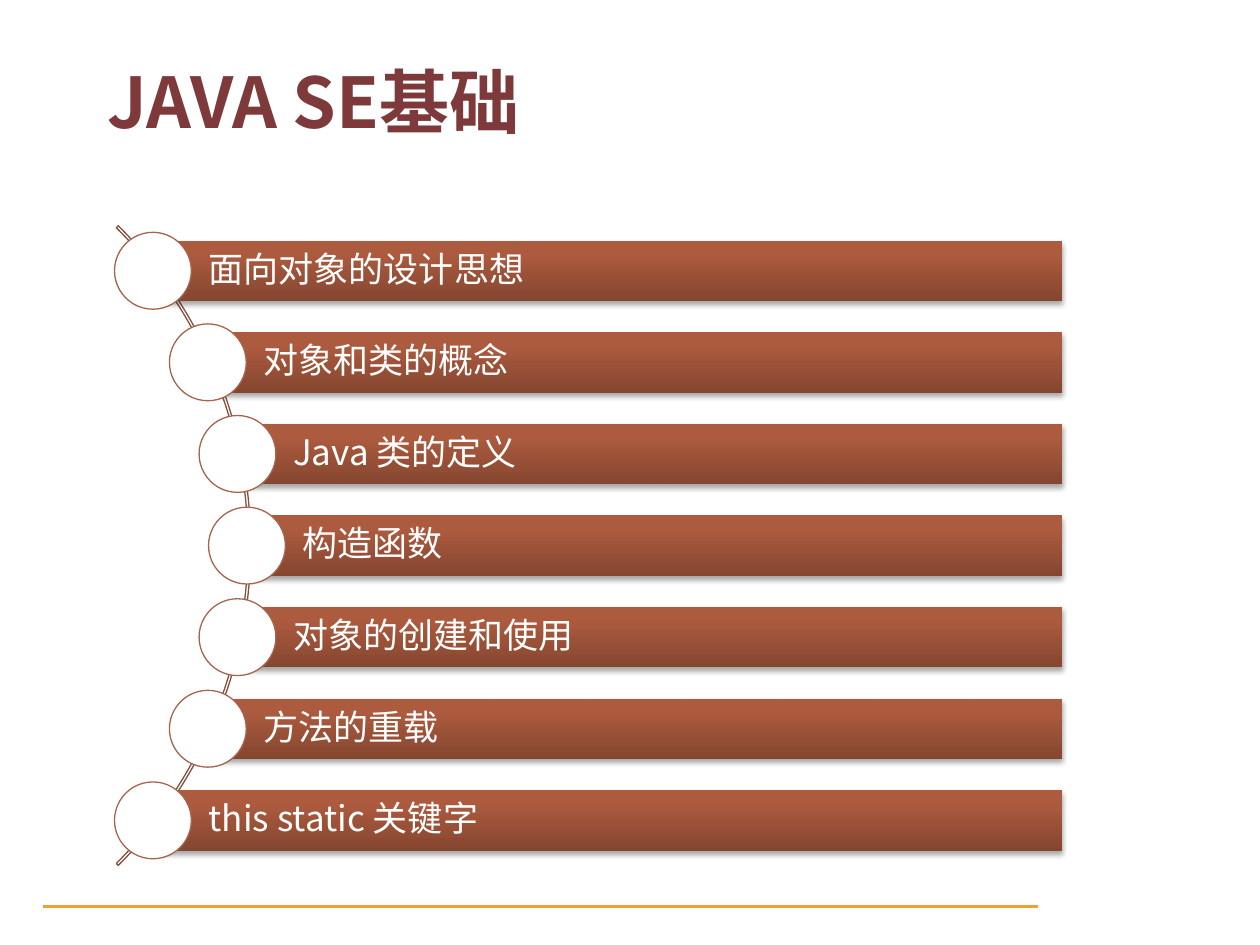
from math import sqrt

from lxml.etree import SubElement
from pptx import Presentation
from pptx.dml.color import RGBColor
from pptx.enum.shapes import MSO_SHAPE as Preset
from pptx.enum.text import MSO_ANCHOR as Anchor, PP_ALIGN as Align
from pptx.oxml import parse_xml
from pptx.oxml.ns import nsdecls, qn
from pptx.util import Inches, Pt

TITLE = "JAVA SE基础"
TOPICS = [
    " 面向对象的设计思想",
    " 对象和类的概念",
    " Java 类的定义",
    " 构造函数",
    " 对象的创建和使用",
    " 方法的重载",
    " this static 关键字",
]

THEME = {
    "font": "Noto Sans CJK SC",
    "title": {"size": Pt(40), "bold": True, "color": "7E3A3A"},
    "topic": {"size": Pt(20), "bold": False, "color": "FFFFFF"},
    "bar": [(0, "854630"), (80, "AD5B3F"), (100, "AF5A3D")],
    "shadow": {"blurRad": Pt(3.1), "dist": Pt(1.8), "dir": 90 * 60000},
    "paper": "FFFFFF",
    "ring": "A5644E",
    "arc": "84503E",
    "rule": "F0A22E",
}

WIDTH, HEIGHT = 10, 7.5
CENTRE_X, CENTRE_Y = -1.6, 4.33
ARC_RADIUS, TRACK_RADIUS = 3.59, 3.56
PITCH, BAR_HEIGHT, BAR_RIGHT, DOT = 0.727, 0.48, 8.43, 0.61

TITLE_FRAME = {"vertical_anchor": Anchor.MIDDLE, "word_wrap": True}
TOPIC_FRAME = TITLE_FRAME | {
    "margin_left": Inches(0.38),
    "margin_right": Inches(0.06),
    "margin_top": Inches(0.06),
    "margin_bottom": Inches(0.06),
}


def apply(target, values):
    """Set every attribute named in values on target."""
    for name, value in values.items():
        setattr(target, name, value)


def write(shape, text, style, frame_format, paragraph_format):
    """Put one formatted line of text into a shape."""
    frame = shape.text_frame
    apply(frame, frame_format)
    line = frame.paragraphs[0]
    apply(line, paragraph_format)
    run = line.add_run()
    run.text = text
    apply(run.font, {"name": THEME["font"], "size": style["size"], "bold": style["bold"]})
    run.font.color.rgb = RGBColor.from_string(style["color"])
    SubElement(run.font._element, qn("a:ea"), typeface=THEME["font"])


def draw(slide, preset, box, fill=None, line=None, weight=0.75):
    """Add a flat preset shape; no colour means no fill or no outline."""
    shape = slide.shapes.add_shape(preset, *map(Inches, box))
    shape.shadow.inherit = False
    if fill:
        shape.fill.solid()
        shape.fill.fore_color.rgb = RGBColor.from_string(fill)
    else:
        shape.fill.background()
    if line:
        shape.line.color.rgb = RGBColor.from_string(line)
        shape.line.width = Pt(weight)
    else:
        shape.line.fill.background()
    return shape


def shade(bar):
    """Give a bar its upward gradient and soft drop shadow."""
    bar.fill.gradient()
    bar.fill.gradient_angle = 90
    stops = bar._element.spPr.find(".//" + qn("a:gsLst"))
    for old in list(stops):
        stops.remove(old)
    for share, color in THEME["bar"]:
        stop = SubElement(stops, qn("a:gs"), pos=str(share * 1000))
        SubElement(stop, qn("a:srgbClr"), val=color)
    settings = " ".join(f'{key}="{int(value)}"' for key, value in THEME["shadow"].items())
    bar._element.spPr.find(qn("a:effectLst")).append(parse_xml(
        f'<a:outerShdw {nsdecls("a")} {settings} rotWithShape="0">'
        '<a:srgbClr val="000000"><a:alpha val="35000"/></a:srgbClr></a:outerShdw>'))


def add_topic(slide, text, row):
    """Add one bar and its dot, centred on the curved track."""
    y = CENTRE_Y + row * PITCH
    x = CENTRE_X + sqrt(TRACK_RADIUS ** 2 - (row * PITCH) ** 2)
    bar = draw(slide, Preset.RECTANGLE,
               (x, y - BAR_HEIGHT / 2, BAR_RIGHT - x, BAR_HEIGHT), THEME["paper"])
    shade(bar)
    write(bar, text, THEME["topic"], TOPIC_FRAME,
          {"alignment": Align.LEFT, "line_spacing": 0.9})
    draw(slide, Preset.OVAL, (x - DOT / 2, y - DOT / 2, DOT, DOT),
         THEME["paper"], THEME["ring"])


def build():
    """Build and save the slide."""
    deck = Presentation()
    apply(deck, {"slide_width": Inches(WIDTH), "slide_height": Inches(HEIGHT)})
    slide = deck.slides.add_slide(deck.slide_layouts[5])

    draw(slide, Preset.RECTANGLE, (0.33, 7.17, 7.92, 0.05),
         THEME["rule"], THEME["paper"], 2)
    arc = draw(slide, Preset.BLOCK_ARC,
               (CENTRE_X - ARC_RADIUS, CENTRE_Y - ARC_RADIUS,
                2 * ARC_RADIUS, 2 * ARC_RADIUS), line=THEME["arc"])
    for index, value in enumerate((189, 27, 0.003)):
        arc.adjustments[index] = value

    for index, text in enumerate(TOPICS):
        add_topic(slide, text, index - len(TOPICS) // 2)

    title = slide.shapes.title
    apply(title, {"left": Inches(0.75), "top": Inches(0.42),
                  "width": Inches(8.11), "height": Inches(0.75)})
    write(title, TITLE, THEME["title"], TITLE_FRAME, {"alignment": Align.LEFT})
    deck.save("out.pptx")


build()
